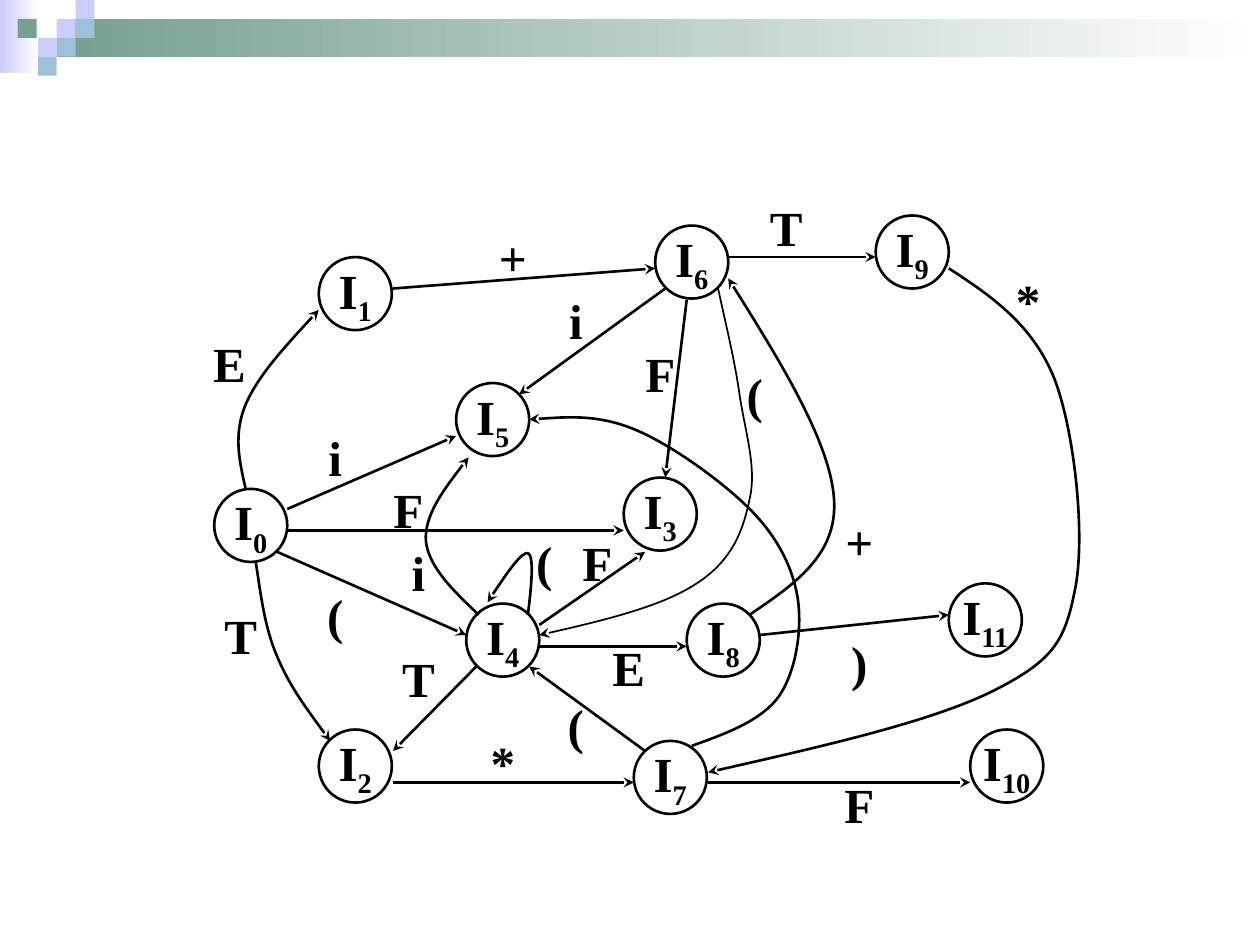
"""Draw the state-transition diagram of an LR parser on one slide."""
from dataclasses import dataclass

import pptx
import pptx.dml.color
import pptx.enum.shapes
import pptx.enum.text
import pptx.oxml.ns
import pptx.oxml.xmlchemy
import pptx.util

PX = 9144
DIAMETER = 58
Point = tuple[int, int]
RGB = pptx.dml.color.RGBColor.from_string
SHAPE = pptx.enum.shapes.MSO_SHAPE
qn = pptx.oxml.ns.qn


@dataclass(frozen=True)
class Theme:
    ink: str = "000000"
    white: str = "FFFFFF"
    lilac: str = "CCCCFF"
    green: str = "779F92"
    blue: str = "9DC2D7"
    font: str = "Times New Roman"
    size: int = 28
    line: float = 1.5
    thin: float = 1
    subscript: int = -25000


@dataclass(frozen=True)
class Block:
    x: int
    y: int
    w: int
    h: int
    color: str
    fades: bool = False


@dataclass(frozen=True)
class State:
    number: int
    x: int
    y: int


@dataclass(frozen=True)
class Label:
    text: str
    x: int
    y: int
    h: int = 50


@dataclass(frozen=True)
class Arrow:
    start: Point
    end: Point


@dataclass(frozen=True)
class Curve:
    start: Point
    beziers: list[Point]
    width: float = Theme.line


T = Theme()

BLOCKS = [
    Block(0, 0, 31, 58, T.lilac, True),
    Block(45, 15, 955, 30, T.green, True),
    *(Block(x, y, 15, 15, color) for x, y, color in [
        (45, 15, T.lilac), (60, 0, T.lilac), (60, 15, T.blue), (30, 30, T.lilac),
        (14, 15, T.green), (45, 30, T.blue), (30, 45, T.blue)]),
]

STATES = [State(n, x, y) for n, (x, y) in enumerate([
    (170, 388), (253, 204), (253, 579), (495, 379), (370, 479), (362, 304),
    (520, 179), (503, 588), (545, 479), (695, 171), (770, 579), (753, 463)])]

ARROWS = [
    Arrow((228, 404), (362, 346)), Arrow((228, 421), (495, 421)),
    Arrow((220, 438), (370, 504)), Arrow((378, 529), (312, 596)),
    Arrow((512, 596), (420, 529)), Arrow((312, 621), (503, 621)),
    Arrow((562, 621), (770, 621)), Arrow((312, 229), (520, 213)),
    Arrow((578, 204), (695, 204)), Arrow((428, 496), (512, 438)),
    Arrow((428, 513), (545, 513)), Arrow((528, 229), (412, 313)),
    Arrow((545, 238), (528, 379)), Arrow((603, 504), (753, 488)),
]

CURVES = [
    Curve((195, 388), [(190, 366), (185, 345), (195, 321),
                       (205, 298), (229, 272), (253, 246)]),
    Curve((203, 446), [(207, 472), (210, 498), (220, 521),
                       (230, 545), (246, 566), (262, 588)]),
    Curve((380, 488), [(360, 469), (340, 450), (338, 429),
                       (337, 409), (354, 386), (372, 363)]),
    Curve((419, 488), [(422, 464), (424, 441), (419, 439),
                       (414, 438), (400, 458), (387, 478)]),
    Curve((549, 592), [(577, 582), (604, 572), (618, 553),
                       (632, 533), (637, 499), (633, 474),
                       (629, 450), (617, 426), (595, 404),
                       (573, 382), (533, 353), (504, 341),
                       (475, 329), (447, 331), (420, 333)]),
    Curve((595, 488), [(630, 464), (665, 441), (662, 396),
                       (659, 352), (619, 286), (578, 221)]),
    Curve((753, 213), [(787, 235), (820, 258), (837, 301),
                       (853, 343), (862, 427), (853, 469),
                       (845, 510), (835, 525), (787, 549),
                       (738, 573), (650, 593), (562, 613)]),
    Curve((570, 229), [(576, 257), (583, 285), (587, 313),
                       (591, 341), (601, 371), (595, 396),
                       (590, 421), (581, 445), (553, 463),
                       (526, 481), (477, 493), (428, 504)], T.thin),
]

LABELS = [
    Label("E", 153, 263), Label("+", 378, 179), Label("T", 595, 155),
    Label("*", 787, 213), Label("T", 162, 479), Label("T", 303, 513),
    Label("i", 237, 338), Label("F", 295, 379), Label("(", 237, 463),
    Label("i", 303, 429), Label("(", 403, 421), Label("F", 445, 421),
    Label("E", 470, 504), Label("(", 570, 288), Label("F", 495, 271),
    Label("i", 428, 229), Label("+", 653, 404), Label("F", 653, 613),
    Label("*", 370, 588, 33), Label("(", 428, 554, 42), Label(")", 653, 504, 42),
]


def emu(*lengths: int) -> list[int]:
    return [length * PX for length in lengths]


def set_line(line, width: float, arrow: bool = True) -> None:
    line.color.rgb = RGB(T.ink)
    line.width = pptx.util.Pt(width)
    if arrow:
        tail = pptx.oxml.xmlchemy.OxmlElement("a:tailEnd")
        tail.set("type", "stealth")
        line._get_or_add_ln().append(tail)


def write(tf, text: str, subscript: str = "") -> None:
    frame = {"word_wrap": False, "auto_size": pptx.enum.text.MSO_AUTO_SIZE.NONE,
             "vertical_anchor": pptx.enum.text.MSO_ANCHOR.MIDDLE}
    for name, value in frame.items():
        setattr(tf, name, value)
    p = tf.paragraphs[0]
    p.alignment = pptx.enum.text.PP_ALIGN.CENTER
    for part in filter(None, (text, subscript)):
        r = p.add_run()
        r.text = part
        font = {"name": T.font, "size": pptx.util.Pt(T.size), "bold": True}
        for name, value in font.items():
            setattr(r.font, name, value)
        r.font.color.rgb = RGB(T.ink)
    if subscript:
        r.font._element.set("baseline", str(T.subscript))


def draw_block(shapes, block: Block) -> None:
    sp = shapes.add_shape(SHAPE.RECTANGLE, *emu(block.x, block.y, block.w, block.h))
    sp.shadow.inherit = False
    sp.line.fill.background()
    if block.fades:
        sp.fill.gradient()
        sp.fill.gradient_angle = 180
        for stop, color in zip(sp.fill.gradient_stops, (T.white, block.color)):
            stop.color.rgb = RGB(color)
    else:
        sp.fill.solid()
        sp.fill.fore_color.rgb = RGB(block.color)


def draw_state(shapes, state: State) -> None:
    sp = shapes.add_shape(SHAPE.OVAL, *emu(state.x, state.y, DIAMETER, DIAMETER))
    sp.shadow.inherit = False
    sp.fill.background()
    set_line(sp.line, T.line, arrow=False)
    write(sp.text_frame, "I", str(state.number))


def draw_arrow(shapes, arrow: Arrow) -> None:
    straight = pptx.enum.shapes.MSO_CONNECTOR.STRAIGHT
    sp = shapes.add_connector(straight, *emu(*arrow.start, *arrow.end))
    set_line(sp.line, T.line)
    sp._element.spPr.append(pptx.oxml.xmlchemy.OxmlElement("a:effectLst"))


def draw_curve(shapes, curve: Curve) -> None:
    builder = shapes.build_freeform(*curve.start, scale=PX)
    builder.add_line_segments(curve.beziers, close=False)
    sp = builder.convert_to_shape()
    segments = sp._element.xpath(".//a:lnTo")
    for first, second, third in zip(*[iter(segments)] * 3):
        first.tag = qn("a:cubicBezTo")
        for segment in (second, third):
            first.append(segment[0])
            segment.getparent().remove(segment)
    sp.shadow.inherit = False
    sp.fill.background()
    set_line(sp.line, curve.width)


def draw_label(shapes, label: Label) -> None:
    sp = shapes.add_textbox(*emu(label.x, label.y, DIAMETER, label.h))
    write(sp.text_frame, label.text)


def main() -> None:
    prs = pptx.Presentation()
    prs.slide_width, prs.slide_height = emu(1000, 750)
    s = prs.slides.add_slide(prs.slide_layouts[6])
    for draw, items in [(draw_block, BLOCKS), (draw_state, STATES), (draw_arrow, ARROWS),
                        (draw_curve, CURVES), (draw_label, LABELS)]:
        for item in items:
            draw(s.shapes, item)
    prs.save("out.pptx")


if __name__ == "__main__":
    main()
